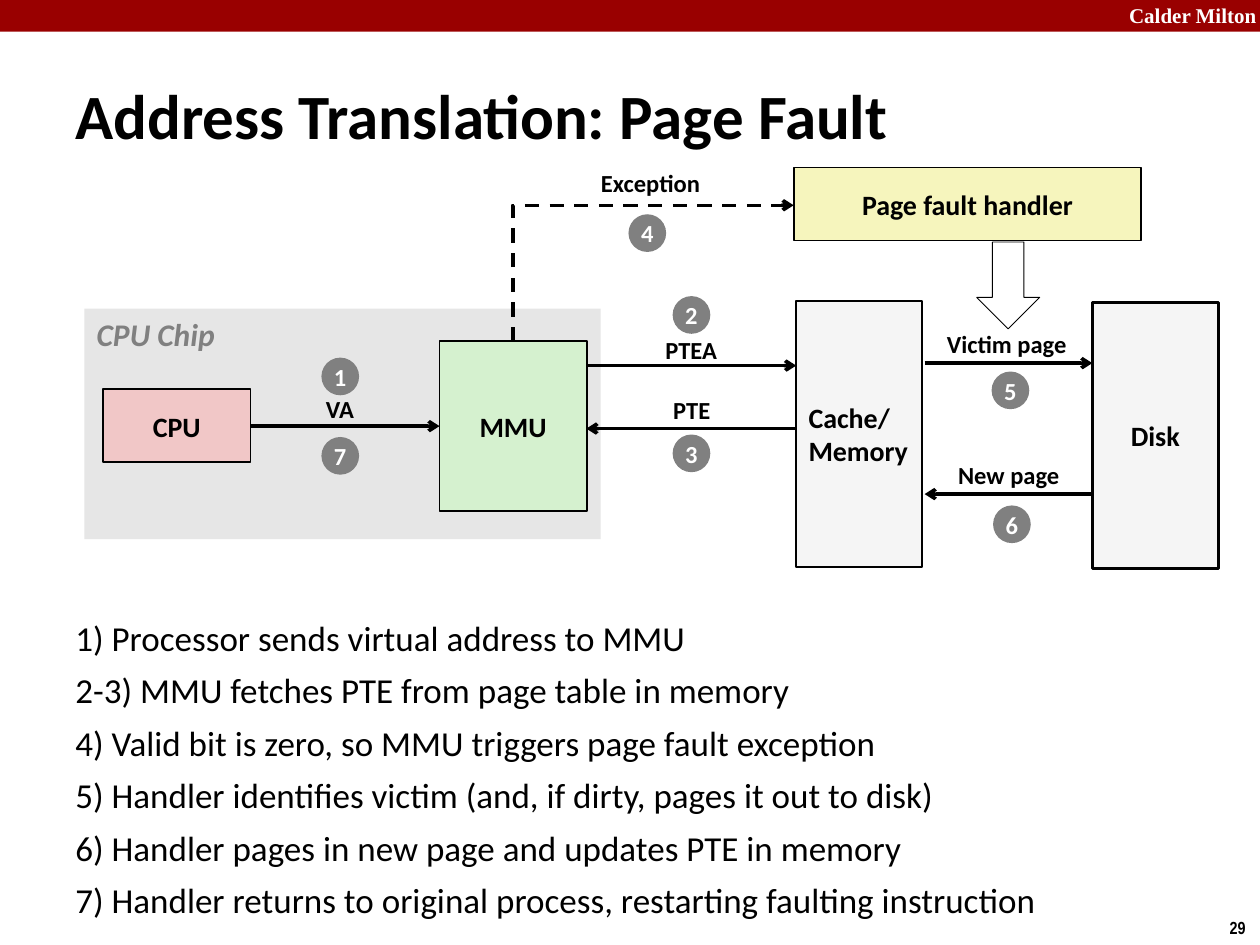
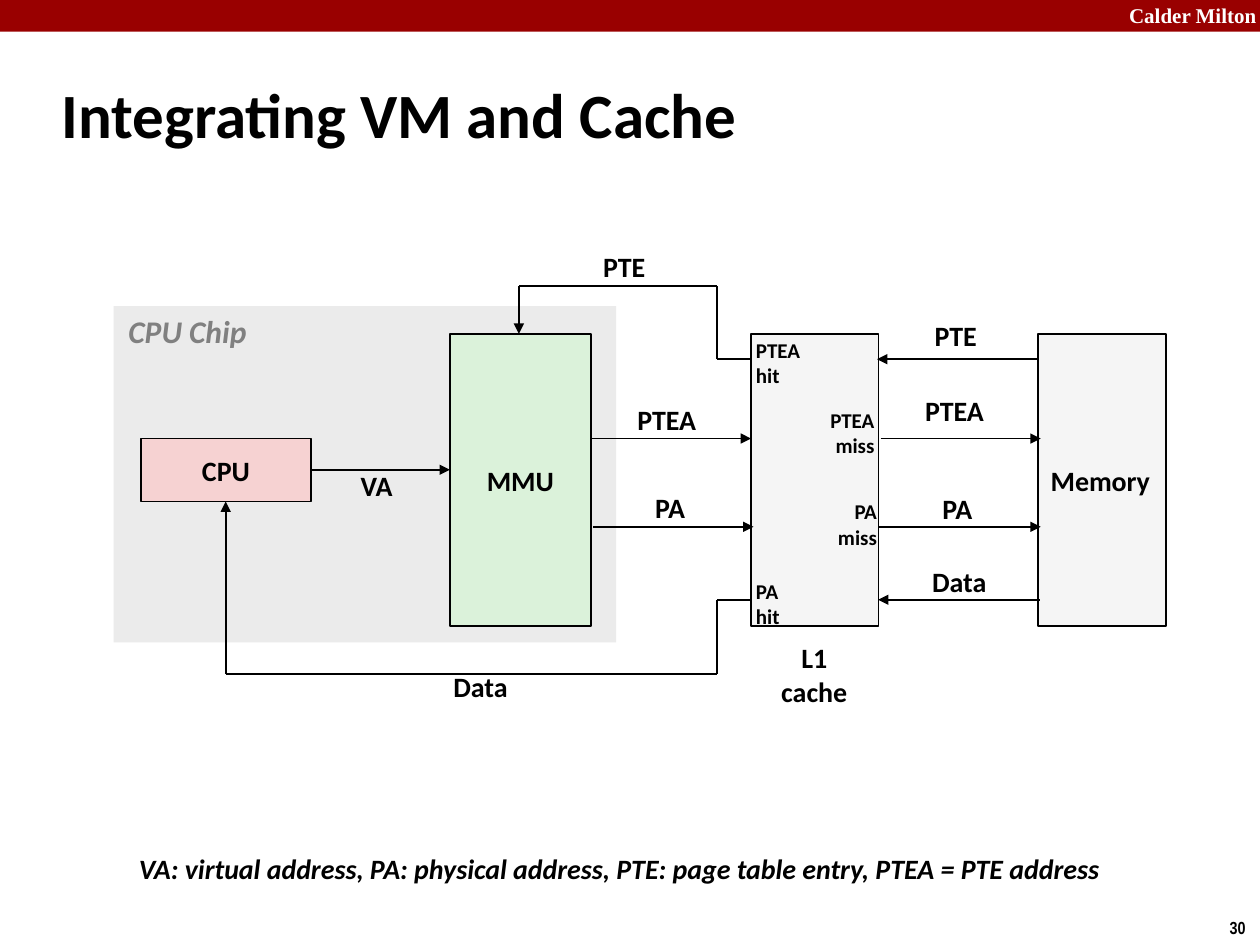
from dataclasses import dataclass
from itertools import pairwise
from lxml.etree import SubElement
from pptx import Presentation
from pptx.dml.color import RGBColor as Rgb
from pptx.enum.dml import MSO_LINE as Dash
from pptx.enum.shapes import MSO_CONNECTOR as Link, MSO_SHAPE as Kind
from pptx.enum.text import MSO_ANCHOR as Anchor, MSO_AUTO_SIZE as Fit, PP_ALIGN as Align
from pptx.oxml.ns import qn
from pptx.util import Cm, Pt


@dataclass(frozen=True)
class Theme:
    font: str = "Calibri"
    serif: str = "Times New Roman"
    narrow: str = "Arial Narrow"
    ink: str = "000000"
    white: str = "FFFFFF"
    band: str = "990000"
    gray: str = "808080"
    store: str = "F5F5F5"
    yellow: str = "F6F5BD"
    head: int = 36
    body: int = 20
    chip: int = 18
    node: int = 16
    label: int = 14
    small: int = 12
    page: int = 10


T = Theme()
TIGHT = (0.18, 0.08)


def put(frame, text, size=T.node, font=T.font, color=T.ink, bold=True, italic=False,
        align=Align.LEFT, anchor=Anchor.MIDDLE, wrap=False, grow=False,
        pad=(0.25, 0.13), space=None, before=None):
    frame.word_wrap = wrap
    frame.auto_size = Fit.SHAPE_TO_FIT_TEXT if grow else Fit.NONE
    frame.vertical_anchor = anchor
    frame.margin_left = frame.margin_right = Cm(pad[0])
    frame.margin_top = frame.margin_bottom = Cm(pad[1])
    for i, line in enumerate(text.split("\n")):
        para = frame.paragraphs[0] if i == 0 else frame.add_paragraph()
        para.alignment = align
        if space:
            para.line_spacing = space
        if before:
            para.space_before = Pt(before)
        run = para.add_run()
        run.text = line
        face = run.font
        face.name, face.size = font, Pt(size)
        face.bold, face.italic = bold, italic
        face.color.rgb = Rgb.from_string(color)


class Deck:
    def __init__(self, theme):
        self.theme = theme
        self.prs = Presentation()
        self.prs.slide_width, self.prs.slide_height = Cm(25.4), Cm(19.05)
        self.slide = None

    def page(self, title, number, box):
        t = self.theme
        self.slide = self.prs.slides.add_slide(self.prs.slide_layouts[6])
        self.shape((0, 0, 25.4, 0.64), t.band)
        self.text((21.95, -0.08, 3.63, 0.76), "Calder Milton", size=t.small,
                  font=t.serif, color=t.white, align=Align.RIGHT, anchor=Anchor.TOP,
                  wrap=True)
        self.text((24.54, 18.36, 0.86, 0.69), str(number), size=t.page,
                  font=t.narrow, anchor=Anchor.TOP, grow=True)
        self.text(box, title, size=t.head, wrap=True)

    def text(self, box, text, **fmt):
        item = self.slide.shapes.add_textbox(*map(Cm, box))
        put(item.text_frame, text, **fmt)

    def shape(self, box, fill=None, line=None, kind=Kind.RECTANGLE):
        item = self.slide.shapes.add_shape(kind, *map(Cm, box))
        item.shadow.inherit = False
        if fill:
            item.fill.solid()
            item.fill.fore_color.rgb = Rgb.from_string(fill)
        else:
            item.fill.background()
        if line:
            item.line.width = Pt(line)
            item.line.color.rgb = Rgb.from_string(self.theme.ink)
        else:
            item.line.fill.background()
        return item

    def node(self, box, text, fill, line=1, align=Align.CENTER):
        put(self.shape(box, fill, line).text_frame, text, align=align)

    def chip(self, box, fill, head):
        t = self.theme
        self.shape(box, fill)
        self.text(head, "CPU Chip", size=t.chip, color=t.gray, italic=True,
                  anchor=Anchor.TOP, grow=True)

    def label(self, x, y, wide, text, high=0.84, **fmt):
        style = dict(size=self.theme.label, align=Align.CENTER, grow=True)
        self.text((x, y, wide, high), text, **{**style, **fmt})

    def badge(self, x, y, number):
        t = self.theme
        item = self.shape((x, y, 0.76, 0.76), t.gray, kind=Kind.OVAL)
        put(item.text_frame, str(number), size=t.label, color=t.white, align=Align.CENTER)

    def link(self, start, end, width, tip=None, kind=Link.STRAIGHT, dash=None):
        item = self.slide.shapes.add_connector(kind, *map(Cm, start + end))
        item.line.width = Pt(width)
        item.line.color.rgb = Rgb.from_string(self.theme.ink)
        if dash:
            item.line.dash_style = dash
        props = item._element.spPr
        if tip:
            SubElement(props.find(qn("a:ln")), qn("a:tailEnd"), type=tip)
        SubElement(props, qn("a:effectLst"))
        return props

    def route(self, *points, width=1, tip="triangle"):
        legs = list(pairwise(points))
        for i, (start, end) in enumerate(legs, 1):
            self.link(start, end, width, tip if i == len(legs) else None)

    def bend(self, start, end, width, tip, dash):
        (x, y), (u, v) = start, end
        mx, my = (x + u) / 2, (y + v) / 2
        dx, dy = abs(y - v) / 2, abs(u - x) / 2
        props = self.link((mx + dx, my + dy), (mx - dx, my - dy), width, tip,
                          Link.ELBOW, dash)
        props.find(qn("a:xfrm")).set("rot", "5400000")
        props.find(qn("a:prstGeom")).set("prst", "bentConnector2")


def fault(deck):
    deck.page("Address Translation: Page Fault", 29, (1.27, 1.22, 24.21, 2.18))
    deck.chip((1.7, 6.22, 10.41, 4.65), "E6E6E6", (1.7, 6.22, 2.95, 1.02))
    steps = (
        "1) Processor sends virtual address to MMU",
        "2-3) MMU fetches PTE from page table in memory",
        "4) Valid bit is zero, so MMU triggers page fault exception",
        "5) Handler identifies victim (and, if dirty, pages it out to disk)",
        "6) Handler pages in new page and updates PTE in memory",
        "7) Handler returns to original process, restarting faulting instruction",
    )
    deck.text((1.27, 12.5, 22.23, 5.72), "\n".join(steps), size=T.body, bold=False,
              anchor=Anchor.TOP, wrap=True, space=0.73, before=12.5)
    deck.node((8.86, 6.88, 2.97, 3.43), "MMU", "D5F1CF")
    deck.node((16.05, 6.07, 2.54, 5.36), "Cache/\nMemory", T.store, 1.5, Align.LEFT)
    deck.node((2.08, 7.85, 2.97, 1.47), "CPU", "F1C7C7")
    deck.node((22.02, 6.1, 2.54, 5.36), "Disk", T.store, 1.5)
    deck.node((16, 3.38, 7.01, 1.47), "Page fault handler", T.yellow)
    for x, end, y in (
        (5.05, 8.86, 8.59), (11.82, 16.05, 7.37), (16.05, 11.82, 8.64),
        (18.64, 22.02, 7.32), (22.02, 18.64, 9.96),
    ):
        deck.route((x, y), (end, y), width=2, tip="arrow")
    deck.bend((10.34, 6.88), (16, 4.14), 2, "arrow", Dash.DASH)
    deck.shape((19.69, 4.88, 1.27, 1.75), line=0.5, kind=Kind.DOWN_ARROW)
    for x, y, wide, text in (
        (6.32, 7.85, 1.07, "VA"), (13.16, 6.65, 1.55, "PTEA"),
        (13.31, 7.87, 1.27, "PTE"), (18.82, 6.53, 2.95, "Victim page"),
        (19.05, 9.17, 2.57, "New page"), (11.86, 3.28, 2.51, "Exception"),
    ):
        deck.label(x, y, wide, text, space=0.98)
    spots = ((6.48, 7.21), (13.56, 5.97), (13.56, 8.76), (12.67, 4.32),
             (19.99, 7.49), (20.02, 10.19), (6.48, 8.81))
    for number, (x, y) in enumerate(spots, 1):
        deck.badge(x, y, number)


def cache(deck):
    deck.page("Integrating VM and Cache", 30, (0.99, 1.22, 21.08, 2.11))
    deck.chip((2.29, 6.17, 10.13, 6.78), "EBEBEB", (2.34, 6.17, 3.07, 1.02))
    deck.node((2.84, 8.84, 3.43, 1.27), "CPU", "F6D2D2")
    deck.node((9.07, 6.73, 2.84, 5.89), "MMU", "DBF2DA")
    deck.shape((15.14, 6.73, 2.57, 5.89), T.store, 1)
    deck.node((20.93, 6.73, 2.57, 5.89), "Memory", T.store, align=Align.LEFT)
    for x, end, y in (
        (6.27, 9.07, 9.47), (11.91, 15.14, 8.84), (11.96, 15.19, 10.62),
        (17.7, 20.98, 10.62), (17.75, 20.98, 8.84),
        (20.96, 17.7, 12.09), (20.93, 17.68, 7.24),
    ):
        deck.route((x, y), (end, y))
    deck.route((15.14, 7.24), (14.45, 7.24), (14.45, 5.77), (10.46, 5.77), (10.46, 6.73))
    deck.route((15.14, 12.09), (14.45, 12.09), (14.45, 13.59), (4.55, 13.59), (4.55, 10.11))
    tight = dict(high=0.74, size=T.node, align=Align.LEFT, anchor=Anchor.TOP,
                 pad=TIGHT, space=0.85)
    for x, y, wide, text in (
        (7.09, 9.47, 1.07, "VA"), (12.67, 8.13, 1.57, "PTEA"),
        (13.03, 9.91, 0.97, "PA"), (18.47, 7.95, 1.57, "PTEA"),
    ):
        deck.label(x, y, wide, text, **tight)
    for x, y, wide, text in (
        (11.91, 4.9, 1.37, "PTE"), (8.89, 13.36, 1.63, "Data"),
        (18.75, 9.78, 1.12, "PA"), (18.54, 11.25, 1.63, "Data"),
        (18.59, 6.3, 1.37, "PTE"),
    ):
        deck.label(x, y, wide, text, high=0.94, size=T.node, align=Align.LEFT)
    deck.label(15.49, 12.78, 1.85, "L1\ncache", high=1.63, size=T.node)
    for x, y, wide, text, align in (
        (16.61, 9.93, 1.32, "PA\nmiss", Align.RIGHT),
        (16.48, 8.08, 1.4, "PTEA\nmiss", Align.RIGHT),
        (14.99, 6.68, 1.4, "PTEA\nhit", Align.LEFT),
        (14.99, 11.53, 0.99, "PA\nhit", Align.LEFT),
    ):
        deck.label(x, y, wide, text, high=1.27, size=T.small, align=align)
    legend = ("VA: virtual address, PA: physical address, "
              "PTE: page table entry, PTEA = PTE address")
    deck.label(2.62, 17.2, 20.12, legend, italic=True, **tight)


deck = Deck(T)
fault(deck)
cache(deck)
deck.prs.save("out.pptx")
